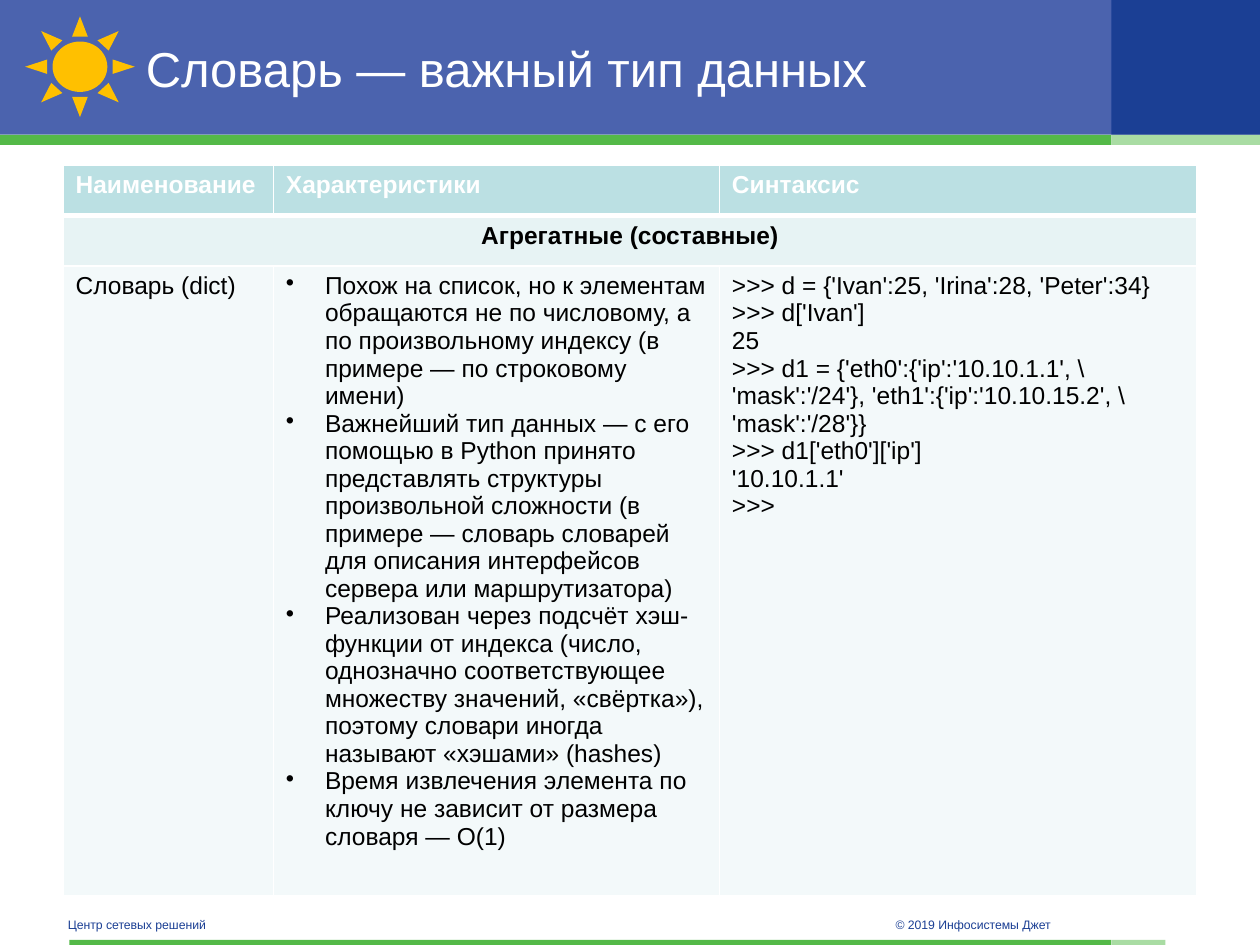
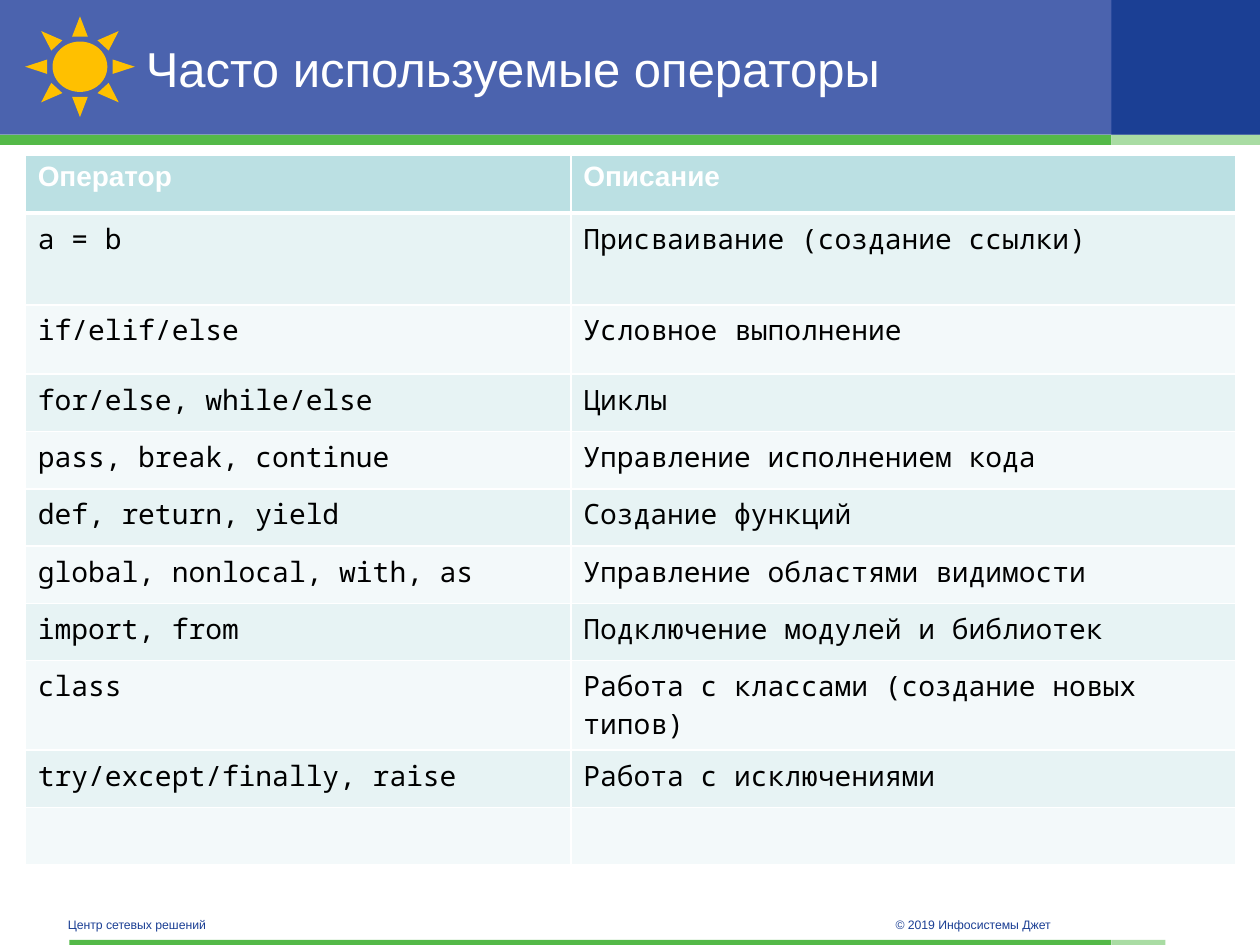
import pptx
import pptx.dml.color
import pptx.enum.shapes
import pptx.enum.text
import pptx.oxml
import pptx.oxml.ns
import pptx.util

Inches = pptx.util.Inches
Pt = pptx.util.Pt
RGBColor = pptx.dml.color.RGBColor
Shapes = pptx.enum.shapes.MSO_SHAPE
Align = pptx.enum.text.PP_ALIGN

WHITE = RGBColor(0xFF, 0xFF, 0xFF)
BLACK = RGBColor(0, 0, 0)
BLUE = RGBColor(0x4B, 0x63, 0xAE)
NAVY = RGBColor(0x1B, 0x3F, 0x94)
GREEN = RGBColor(0x54, 0xB9, 0x48)
LIGHT_GREEN = RGBColor(0xA9, 0xDC, 0xA3)
GOLD = RGBColor(0xFF, 0xC0, 0x00)
HEADER_FILL = RGBColor(0xBB, 0xE0, 0xE3)
ROW_FILLS = [RGBColor(0xF3, 0xF9, 0xFA), RGBColor(0xE7, 0xF3, 0xF4)]

TITLE_FORMAT = {"size": Pt(28), "name": "Arial"}
FOOTER_FORMAT = {"size": Pt(7), "name": "Arial"}

DECORATIONS = [
    (Shapes.RECTANGLE, 0, 0, 10, 1.07, BLUE),
    (Shapes.RECTANGLE, 8.82, 0, 1.18, 1.07, NAVY),
    (Shapes.RECTANGLE, 0, 1.07, 8.82, 0.08, GREEN),
    (Shapes.RECTANGLE, 8.82, 1.07, 1.18, 0.08, LIGHT_GREEN),
    (Shapes.RECTANGLE, 0.55, 7.46, 8.27, 0.04, GREEN),
    (Shapes.RECTANGLE, 8.82, 7.46, 0.43, 0.04, LIGHT_GREEN),
    (Shapes.SUN, 0.2, 0.13, 0.87, 0.8, GOLD),
]

BULLET = "• "

SLIDES = [
    {
        "title": "Словарь — важный тип данных",
        "position": (0.5, 1.31),
        "columns": [1.67, 3.54, 3.79],
        "rows": [0.4, 0.4, 4.69],
        "size": 14,
        "font": "Arial",
        "cells": [
            ["Наименование", "Характеристики", "Синтаксис"],
            ["Агрегатные (составные)"],
            [
                "Словарь (dict)",
                "• Похож на список, но к элементам обращаются не по числовому, "
                "а по произвольному индексу (в примере — по строковому имени)\n"
                "• Важнейший тип данных — с его помощью в Python принято "
                "представлять структуры произвольной сложности (в примере — "
                "словарь словарей для описания интерфейсов сервера или "
                "маршрутизатора)\n"
                "• Реализован через подсчёт хэш-функции от индекса (число, "
                "однозначно соответствующее множеству значений, «свёртка»), "
                "поэтому словари иногда называют «хэшами» (hashes)\n"
                "• Время извлечения элемента по ключу не зависит от размера "
                "словаря — O(1)",
                ">>> d = {'Ivan':25, 'Irina':28, 'Peter':34}\n"
                ">>> d['Ivan']\n"
                "25\n"
                ">>> d1 = {'eth0':{'ip':'10.10.1.1', \\ 'mask':'/24'}, "
                "'eth1':{'ip':'10.10.15.2', \\ 'mask':'/28'}}\n"
                ">>> d1['eth0']['ip']\n"
                "'10.10.1.1'\n"
                ">>>",
            ],
        ],
    },
    {
        "title": "Часто используемые операторы",
        "position": (0.2, 1.23),
        "columns": [4.33, 5.28],
        "rows": [0.46, 0.73, 0.55] + [0.455] * 5 + [0.71] + [0.455] * 2,
        "size": 16,
        "font": "Noto Sans Mono",
        "cells": [
            ["Оператор", "Описание"],
            ["a = b", "Присваивание (создание ссылки)"],
            ["if/elif/else", "Условное выполнение"],
            ["for/else, while/else", "Циклы"],
            ["pass, break, continue", "Управление исполнением кода"],
            ["def, return, yield", "Создание функций"],
            ["global, nonlocal, with, as", "Управление областями видимости"],
            ["import, from", "Подключение модулей и библиотек"],
            ["class", "Работа с классами (создание новых типов)"],
            ["try/except/finally, raise", "Работа с исключениями"],
            ["", ""],
        ],
    },
]


def write_text(frame, text, font_format, color, alignment=Align.LEFT):
    frame.word_wrap = True
    for index, line in enumerate(text.split("\n")):
        paragraph = frame.add_paragraph() if index else frame.paragraphs[0]
        paragraph.alignment = alignment
        if line.startswith(BULLET):
            properties = paragraph._p.get_or_add_pPr()
            properties.set("marL", str(Inches(0.31)))
            properties.set("indent", str(-Inches(0.31)))
            bullet = pptx.oxml.parse_xml(
                f'<a:buChar {pptx.oxml.ns.nsdecls("a")} char="•"/>')
            properties.append(bullet)
        run = paragraph.add_run()
        run.text = line.removeprefix(BULLET)
        for name, value in font_format.items():
            setattr(run.font, name, value)
        run.font.color.rgb = color


def add_borders(cell, widths):
    properties = cell._tc.get_or_add_tcPr()
    for index, (side, width) in enumerate(widths.items()):
        border = pptx.oxml.parse_xml(
            f'<a:ln{side} {pptx.oxml.ns.nsdecls("a")} w="{Pt(width)}">'
            f'<a:solidFill><a:srgbClr val="{WHITE}"/></a:solidFill></a:ln{side}>')
        properties.insert(index, border)


presentation = pptx.Presentation()
presentation.slide_width = Inches(10)
presentation.slide_height = Inches(7.5)

for content in SLIDES:
    slide = presentation.slides.add_slide(presentation.slide_layouts[6])

    for kind, left, top, width, height, color in DECORATIONS:
        shape = slide.shapes.add_shape(
            kind, Inches(left), Inches(top), Inches(width), Inches(height))
        shape.shadow.inherit = False
        shape.fill.solid()
        shape.fill.fore_color.rgb = color
        shape.line.fill.background()

    labels = [
        (content["title"], 1.06, 0.14, 7.56, 0.79, TITLE_FORMAT, WHITE),
        ("Центр сетевых решений", 0.44, 7.24, 3.3, 0.2, FOOTER_FORMAT, NAVY),
        ("© 2019 Инфосистемы Джет", 7.01, 7.24, 2.36, 0.2, FOOTER_FORMAT, NAVY),
    ]
    for text, left, top, width, height, font_format, color in labels:
        box = slide.shapes.add_textbox(
            Inches(left), Inches(top), Inches(width), Inches(height))
        box.text_frame.vertical_anchor = pptx.enum.text.MSO_ANCHOR.MIDDLE
        write_text(box.text_frame, text, font_format, color)

    columns, rows = content["columns"], content["rows"]
    left, top = content["position"]
    table = slide.shapes.add_table(
        len(rows), len(columns), Inches(left), Inches(top),
        Inches(sum(columns)), Inches(sum(rows))).table
    table.horz_banding = False
    for column, width in zip(table.columns, columns):
        column.width = Inches(width)
    for row, height in zip(table.rows, rows):
        row.height = Inches(height)

    for row_index, texts in enumerate(content["cells"]):
        is_header = row_index == 0
        is_section = len(texts) < len(columns)
        if is_section:
            table.cell(row_index, 0).merge(table.cell(row_index, len(columns) - 1))
        cell_format = {
            "size": Pt(content["size"]),
            "name": "Arial" if is_header else content["font"],
            "bold": is_header or is_section,
        }
        for column_index in range(len(columns)):
            cell = table.cell(row_index, column_index)
            cell.fill.solid()
            cell.fill.fore_color.rgb = HEADER_FILL if is_header else ROW_FILLS[row_index % 2]
            add_borders(cell, {"L": 1, "R": 1, "T": 3 if row_index == 1 else 1,
                               "B": 3 if is_header else 1})
        for column_index, text in enumerate(texts):
            if text:
                write_text(table.cell(row_index, column_index).text_frame, text,
                           cell_format, WHITE if is_header else BLACK,
                           Align.CENTER if is_section else Align.LEFT)

presentation.save("out.pptx")
